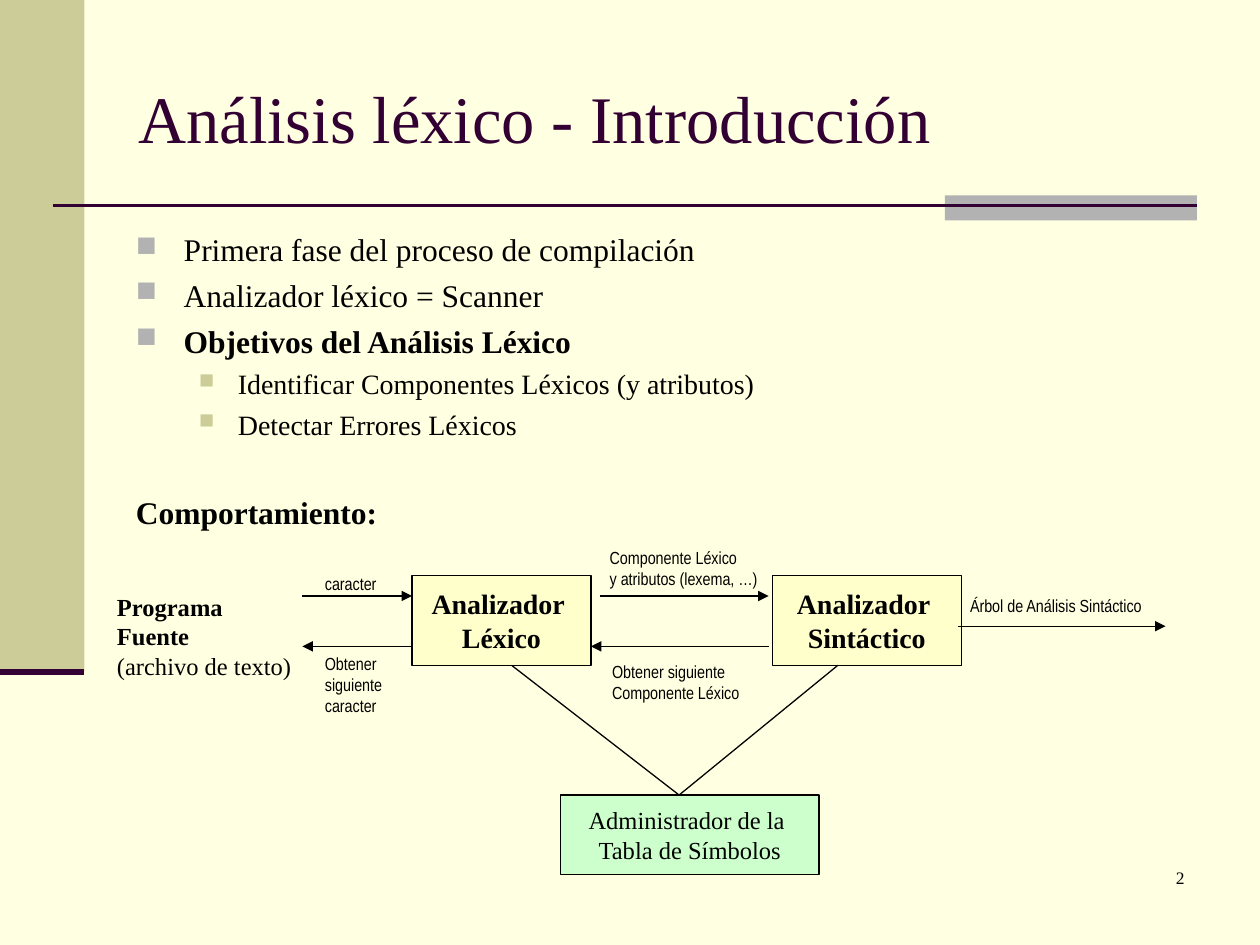
import pptx
import pptx.dml.color
import pptx.enum.shapes
import pptx.enum.text
import pptx.oxml
import pptx.oxml.ns
import pptx.util
from pptx.util import Inches

SERIF = "Times New Roman"
NARROW = "Arial Narrow"
BLACK = "000000"
PURPLE = "330033"
GRAY = "B2B2B2"
OLIVE = "CCCC99"
ALIGN = pptx.enum.text.PP_ALIGN
ANCHOR = pptx.enum.text.MSO_ANCHOR


def color(hex_string):
    """Turn a hex string into a colour."""
    return pptx.dml.color.RGBColor.from_string(hex_string)


def append_xml(parent, tag, **attributes):
    """Append a drawing element with the given attributes."""
    child = pptx.oxml.parse_xml(f"<a:{tag} {pptx.oxml.ns.nsdecls('a')}/>")
    for name, value in attributes.items():
        child.set(name, value)
    parent.append(child)
    return child


def write_paragraph(frame, text, size=10, font=NARROW, ink=BLACK, bold=False,
                    align=ALIGN.LEFT, before=0):
    """Write the next paragraph of a text frame and return it."""
    paragraph = frame.paragraphs[0]
    if paragraph.runs:
        paragraph = frame.add_paragraph()
    paragraph.alignment = align
    paragraph.space_before = pptx.util.Pt(before)
    run = paragraph.add_run()
    run.text = text
    run.font.size = pptx.util.Pt(size)
    run.font.name = font
    run.font.bold = bold
    run.font.color.rgb = color(ink)
    return paragraph


def add_bullet(paragraph, ink, percent, left, hanging):
    """Give a paragraph a coloured square bullet and a hanging indent."""
    properties = paragraph._p.get_or_add_pPr()
    properties.set("marL", str(Inches(left)))
    properties.set("indent", str(-Inches(hanging)))
    append_xml(append_xml(properties, "buClr"), "srgbClr", val=ink)
    append_xml(properties, "buSzPct", val=str(percent * 1000))
    append_xml(properties, "buChar", char="■")


def add_text(slide, left, top, width, height, lines=(), wrap=True,
             anchor=ANCHOR.TOP, **text_format):
    """Add a text box with one paragraph for each line and return its frame."""
    shape = slide.shapes.add_textbox(Inches(left), Inches(top), Inches(width), Inches(height))
    frame = shape.text_frame
    frame.word_wrap = wrap
    frame.vertical_anchor = anchor
    for line in lines:
        write_paragraph(frame, line, **text_format)
    return frame


def add_box(slide, left, top, width, height, fill, lines=(), **text_format):
    """Add a filled rectangle, outlined when it holds text."""
    shape = slide.shapes.add_shape(pptx.enum.shapes.MSO_SHAPE.RECTANGLE, Inches(left),
                                   Inches(top), Inches(width), Inches(height))
    shape.shadow.inherit = False
    shape.fill.solid()
    shape.fill.fore_color.rgb = color(fill)
    if not lines:
        shape.line.fill.background()
        return
    shape.line.color.rgb = color(BLACK)
    shape.line.width = pptx.util.Pt(0.75)
    shape.text_frame.word_wrap = False
    shape.text_frame.vertical_anchor = ANCHOR.MIDDLE
    for line in lines:
        write_paragraph(shape.text_frame, line, font=SERIF, align=ALIGN.CENTER, **text_format)


def add_line(slide, start, end, ink=BLACK, width=0.75, arrow=False):
    """Draw a straight line, with an arrowhead at its end if asked."""
    connector = slide.shapes.add_connector(
        pptx.enum.shapes.MSO_CONNECTOR.STRAIGHT, *map(Inches, start + end))
    connector.line.color.rgb = color(ink)
    connector.line.width = pptx.util.Pt(width)
    if arrow:
        append_xml(connector.line._get_or_add_ln(), "tailEnd", type="triangle")
    append_xml(connector._element.spPr, "effectLst")


def add_frame(slide):
    """Draw the background, the side band and the rules."""
    slide.background.fill.solid()
    slide.background.fill.fore_color.rgb = color("FFFFE1")
    add_box(slide, 0, 0, 0.67, 5.33, OLIVE)
    add_box(slide, 7.5, 1.55, 2, 0.2, GRAY)
    add_line(slide, (0.42, 1.63), (9.5, 1.63), PURPLE, 1.5)
    add_line(slide, (0, 5.33), (0.67, 5.33), PURPLE, 3.5)


def add_outline(slide):
    """Write the bulleted points and the heading of the diagram."""
    frame = add_text(slide, 0.98, 1.78, 8.49, 4.96)
    for text, bold in (("Primera fase del proceso de compilación", False),
                       ("Analizador léxico = Scanner", False),
                       ("Objetivos del Análisis Léxico", True)):
        paragraph = write_paragraph(frame, text, 18, SERIF, bold=bold, before=4.5)
        add_bullet(paragraph, GRAY, 90, 0.38, 0.38)
    for text in ("Identificar Componentes Léxicos (y atributos)", "Detectar Errores Léxicos"):
        paragraph = write_paragraph(frame, text, 16, SERIF, before=4)
        add_bullet(paragraph, OLIVE, 75, 0.81, 0.31)
    write_paragraph(frame, "Comportamiento:", 18, SERIF, bold=True, before=29.7)


def add_diagram(slide):
    """Draw the flow between the source, the analyzers and the symbol table."""
    add_box(slide, 3.27, 4.57, 1.42, 0.71, "FFFFCC", ("Analizador ", "Léxico"), size=16, bold=True)
    add_box(slide, 6.13, 4.57, 1.5, 0.71, "FFFFCC", ("Analizador ", "Sintáctico"),
            size=16, bold=True)
    add_box(slide, 4.45, 6.31, 2.05, 0.63, "CCFFCC",
            ("Administrador de la ", "Tabla de Símbolos"), size=14)

    source = add_text(slide, 0.83, 4.65, 1.66, 0.57, wrap=False)
    write_paragraph(source, "Programa Fuente", 14, SERIF, bold=True)
    write_paragraph(source, "(archivo de texto)", 14, SERIF)

    for start, end in (((2.4, 4.73), (3.27, 4.73)), ((3.27, 5.13), (2.4, 5.13)),
                       ((4.76, 4.73), (6.1, 4.73)), ((6.1, 5.13), (4.69, 5.13)),
                       ((7.6, 4.97), (9.25, 4.97))):
        add_line(slide, start, end, arrow=True)
    for analyzer_bottom in ((4.06, 5.28), (6.65, 5.28)):
        add_line(slide, analyzer_bottom, (5.39, 6.31))

    add_text(slide, 2.48, 4.5, 0.61, 0.27, ("caracter",), wrap=False)
    add_text(slide, 2.48, 5.13, 0.68, 0.6, ("Obtener", "siguiente", "caracter"), wrap=False)
    add_text(slide, 4.74, 4.29, 1.42, 0.44, ("Componente Léxico", "y atributos (lexema, …)"))
    add_text(slide, 4.76, 5.2, 1.34, 0.44, ("Obtener siguiente", "Componente Léxico"))
    add_text(slide, 7.6, 4.67, 1.65, 0.27, ("Árbol de Análisis Sintáctico",))


def main():
    """Build the slide and save it."""
    presentation = pptx.Presentation()
    presentation.slide_width = Inches(10)
    presentation.slide_height = Inches(7.5)
    slide = presentation.slides.add_slide(presentation.slide_layouts[6])
    add_frame(slide)
    add_text(slide, 1, 0.3, 8.5, 1.25, ("Análisis léxico - Introducción",),
             anchor=ANCHOR.MIDDLE, size=38, font=SERIF, ink=PURPLE)
    add_outline(slide)
    add_diagram(slide)
    add_text(slide, 7.42, 6.83, 2.08, 0.5, ("2",), font=SERIF, align=ALIGN.RIGHT)
    presentation.save("out.pptx")


if __name__ == "__main__":
    main()
